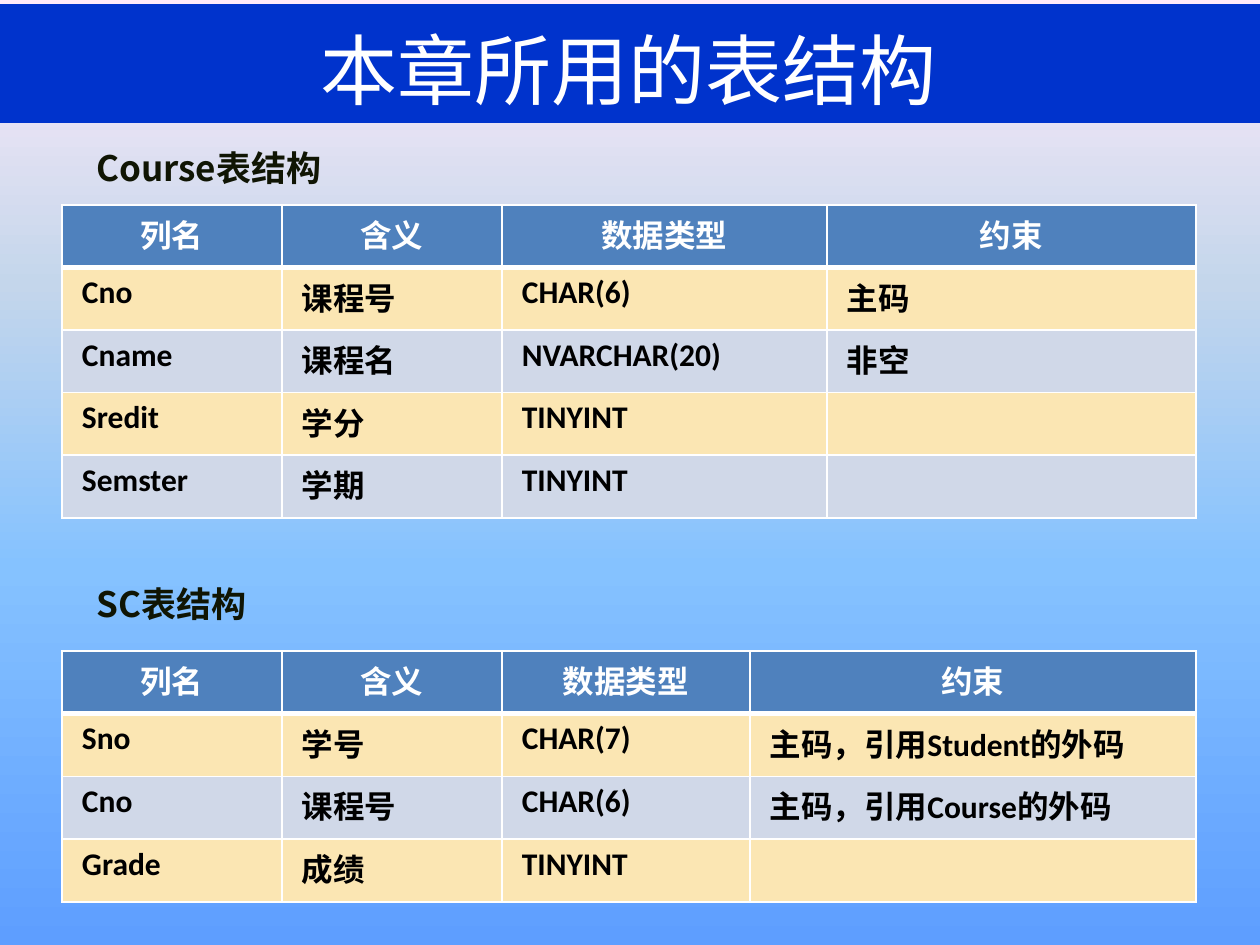
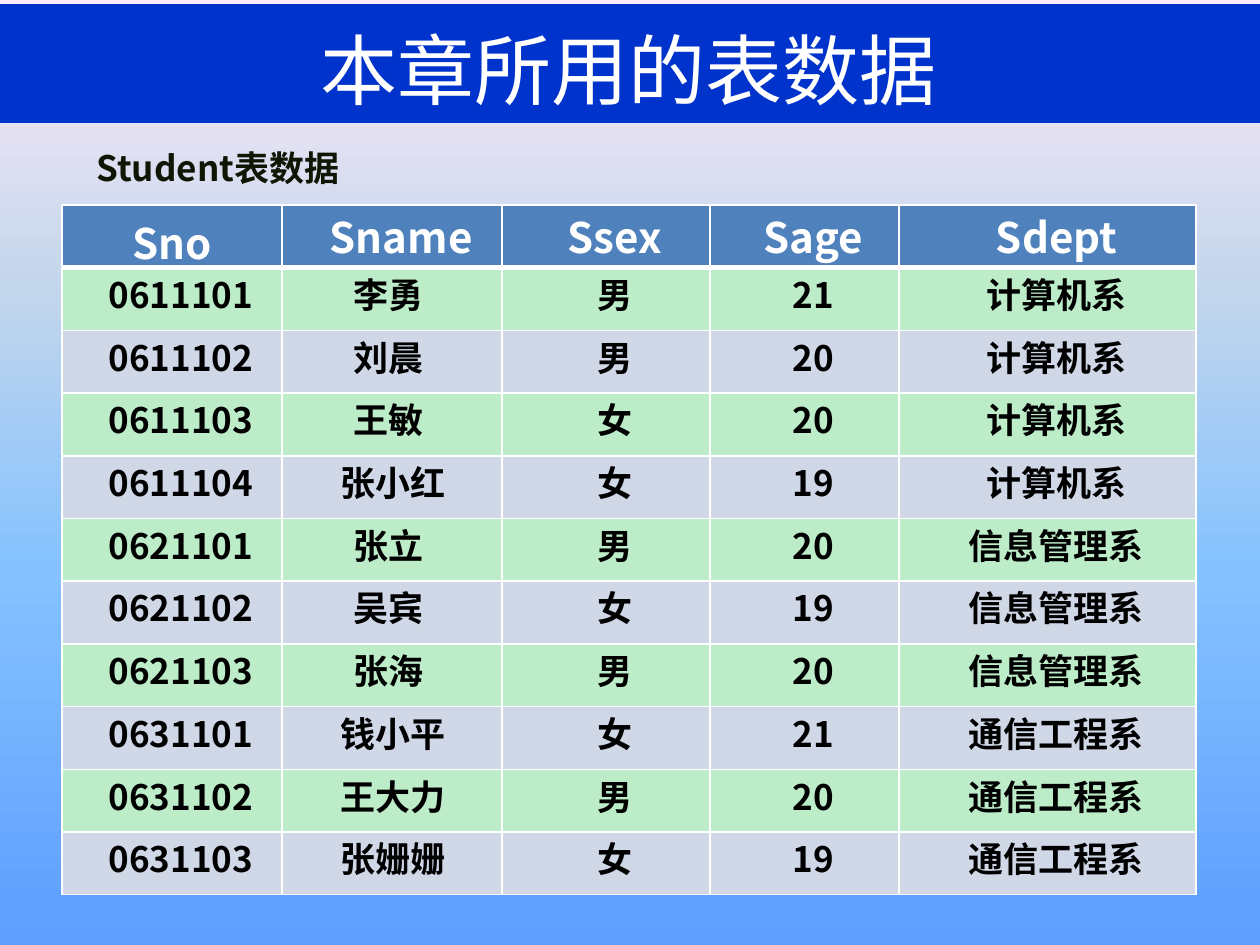
import pptx
import pptx.dml.color
import pptx.enum.shapes
import pptx.enum.text
import pptx.oxml
import pptx.oxml.ns
import pptx.util

SCALE = 914400 / 126
CJK = "Noto Sans CJK SC"
SERIF = "Times New Roman"
WHITE = "FFFFFF"
BLACK = "000000"
CENTER = pptx.enum.text.PP_ALIGN.CENTER
LEFT = pptx.enum.text.PP_ALIGN.LEFT
WIDE_INSETS = (20, 6)
SLIM_INSETS = (10, 0)
FIRST_INDENT = 18
SKY = [(0, "5E9EFF"), (40, "85C2FF"), (70, "C4D6EB"), (100, "FFEBFA")]


def px(length):
    return pptx.util.Emu(round(length * SCALE))


def color(value):
    return pptx.dml.color.RGBColor.from_string(value)


def element(markup):
    head, tail = markup.split(">", 1)
    closing = "/" if head.endswith("/") else ""
    head = head.rstrip("/")
    return pptx.oxml.parse_xml(f"{head} {pptx.oxml.ns.nsdecls('a')}{closing}>{tail}")


class TableDeck:
    band_fill = "0033CC"
    header_fill = "4F81BD"
    even_fill = "D0D8E8"
    heading_color = "101504"
    table_left = 62

    def __init__(self):
        self.deck = pptx.Presentation()
        self.deck.slide_width = px(1260)
        self.deck.slide_height = px(945)
        self.page = None

    def add_page(self, title):
        self.page = self.deck.slides.add_slide(self.deck.slide_layouts[6])
        self.background()
        band = self.page.shapes.add_shape(
            pptx.enum.shapes.MSO_SHAPE.RECTANGLE, px(-4), px(4), px(1264), px(119))
        band.shadow.inherit = False
        band.fill.solid()
        band.fill.fore_color.rgb = color(self.band_fill)
        band.line.fill.background()
        self.text(title, (62, 14, 1134, 110), 44, WHITE, align=CENTER)

    def background(self):
        fill = self.page.background.fill
        fill.gradient()
        fill.gradient_angle = 90
        stops = "".join(
            f'<a:gs pos="{position * 1000}"><a:srgbClr val="{value}"/></a:gs>'
            for position, value in SKY)
        old = self.page._element.find(".//" + pptx.oxml.ns.qn("a:gsLst"))
        old.getparent().replace(old, element(f"<a:gsLst>{stops}</a:gsLst>"))

    def format(self, para, size, value, font=CJK, bold=False, align=LEFT):
        para.alignment = align
        for span in para.runs:
            span.font.size = pptx.util.Pt(size)
            span.font.bold = bold
            span.font.color.rgb = color(value)
            span.font.name = font
            span._r.get_or_add_rPr().append(element(f'<a:ea typeface="{CJK}"/>'))

    def text(self, words, place, size, value, bold=False, align=LEFT):
        box = self.page.shapes.add_textbox(*map(px, place))
        frame = box.text_frame
        frame.word_wrap = True
        frame.vertical_anchor = pptx.enum.text.MSO_ANCHOR.MIDDLE
        frame.text = words
        self.format(frame.paragraphs[0], size, value, bold=bold, align=align)

    def heading(self, words, top):
        self.text(words, (84, top, 527, 55), 20, self.heading_color, bold=True)

    def borders(self, cell, row):
        weights = {"L": 1, "R": 1, "T": 3 if row == 1 else 1, "B": 3 if row == 0 else 1}
        properties = cell._tc.get_or_add_tcPr()
        for index, (side, weight) in enumerate(weights.items()):
            properties.insert(index, element(
                f'<a:ln{side} w="{weight * 12700}"><a:solidFill>'
                f'<a:srgbClr val="{WHITE}"/></a:solidFill></a:ln{side}>'))

    def table(self, top, height, widths, rows, odd_fill, style_cell):
        frame = self.page.shapes.add_table(
            len(rows), len(widths), px(self.table_left), px(top), px(sum(widths)), px(height))
        table = frame.table
        table.first_row = table.horz_banding = False
        for column, width in zip(table.columns, widths):
            column.width = px(width)
        for line in table.rows:
            line.height = px(height / len(rows))
        for row, values in enumerate(rows):
            fill = self.header_fill if row == 0 else odd_fill if row % 2 else self.even_fill
            for column, value in enumerate(values):
                cell = table.cell(row, column)
                cell.text_frame.text = value
                cell.fill.solid()
                cell.fill.fore_color.rgb = color(fill)
                self.borders(cell, row)
                style_cell(cell, row, column)

    def insets(self, cell, sizes):
        cell.margin_left = cell.margin_right = px(sizes[0])
        cell.margin_top = cell.margin_bottom = px(sizes[1])

    def structure_cell(self, cell, row, column):
        self.insets(cell, WIDE_INSETS)
        header = row == 0
        self.format(cell.text_frame.paragraphs[0], 18, WHITE if header else BLACK,
                    "Calibri", True, CENTER if header else LEFT)

    def data_cell(self, cell, row, column):
        header = row == 0
        corner = header and column == 0
        self.insets(cell, WIDE_INSETS if corner else SLIM_INSETS)
        para = cell.text_frame.paragraphs[0]
        if not corner:
            para._p.get_or_add_pPr().set("indent", str(px(FIRST_INDENT)))
        if column == 1 and not header:
            cell.margin_right = px(35 if len(cell.text) == 2 else 26)
        font = CJK if header or column in (0, 3) else SERIF
        self.format(para, 24 if header else 20, WHITE if header else BLACK, font, True, CENTER)

    def structure(self, name, heading_top, top, height, widths, rows):
        self.heading(name + "表结构", heading_top)
        header = ("列名", "含义", "数据类型", "约束")
        self.table(top, height, widths, [header] + rows, "FBE6B3", self.structure_cell)


COURSE_COLUMNS = [
    ("Cno", "课程号", "CHAR(6)", "主码"),
    ("Cname", "课程名", "NVARCHAR(20)", "非空"),
    ("Sredit", "学分", "TINYINT", ""),
    ("Semster", "学期", "TINYINT", ""),
]
SC_COLUMNS = [
    ("Sno", "学号", "CHAR(7)", "主码，引用Student的外码"),
    ("Cno", "课程号", "CHAR(6)", "主码，引用Course的外码"),
    ("Grade", "成绩", "TINYINT", ""),
]
STUDENTS = [
    ("Sno", "Sname", "Ssex", "Sage", "Sdept"),
    ("0611101", "李勇", "男", "21", "计算机系"),
    ("0611102", "刘晨", "男", "20", "计算机系"),
    ("0611103", "王敏", "女", "20", "计算机系"),
    ("0611104", "张小红", "女", "19", "计算机系"),
    ("0621101", "张立", "男", "20", "信息管理系"),
    ("0621102", "吴宾", "女", "19", "信息管理系"),
    ("0621103", "张海", "男", "20", "信息管理系"),
    ("0631101", "钱小平", "女", "21", "通信工程系"),
    ("0631102", "王大力", "男", "20", "通信工程系"),
    ("0631103", "张姗姗", "女", "19", "通信工程系"),
]


def main():
    show = TableDeck()
    show.add_page("本章所用的表结构")
    show.structure("Course", 140, 205, 313, (220, 220, 325, 369), COURSE_COLUMNS)
    show.structure("SC", 576, 651, 251, (220, 220, 248, 446), SC_COLUMNS)

    show.add_page("本章所用的表数据")
    show.heading("Student表数据", 140)
    show.table(205, 690, (220, 220, 208, 189, 297), STUDENTS, "BDECC9", show.data_cell)
    show.deck.save("out.pptx")


if __name__ == "__main__":
    main()
